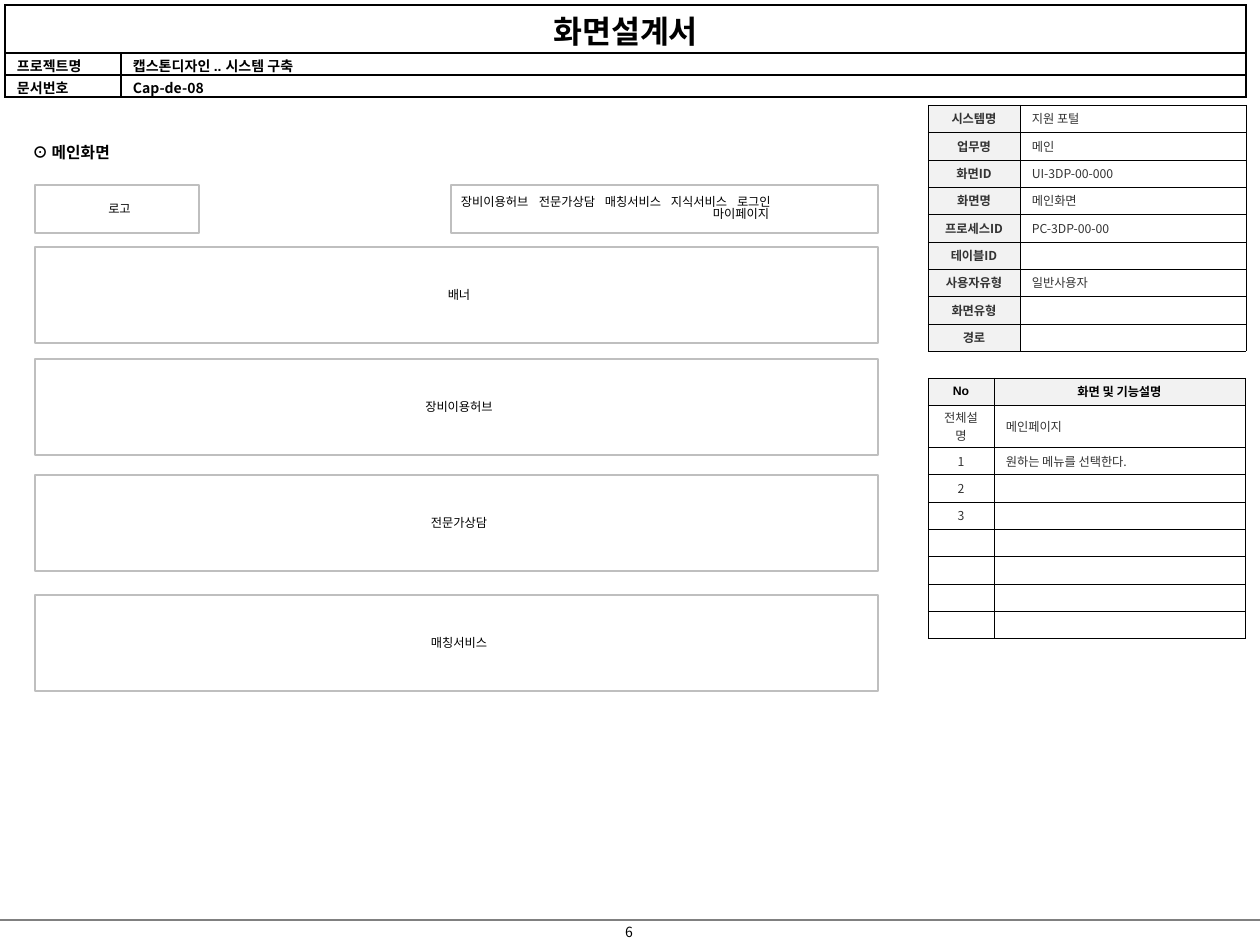
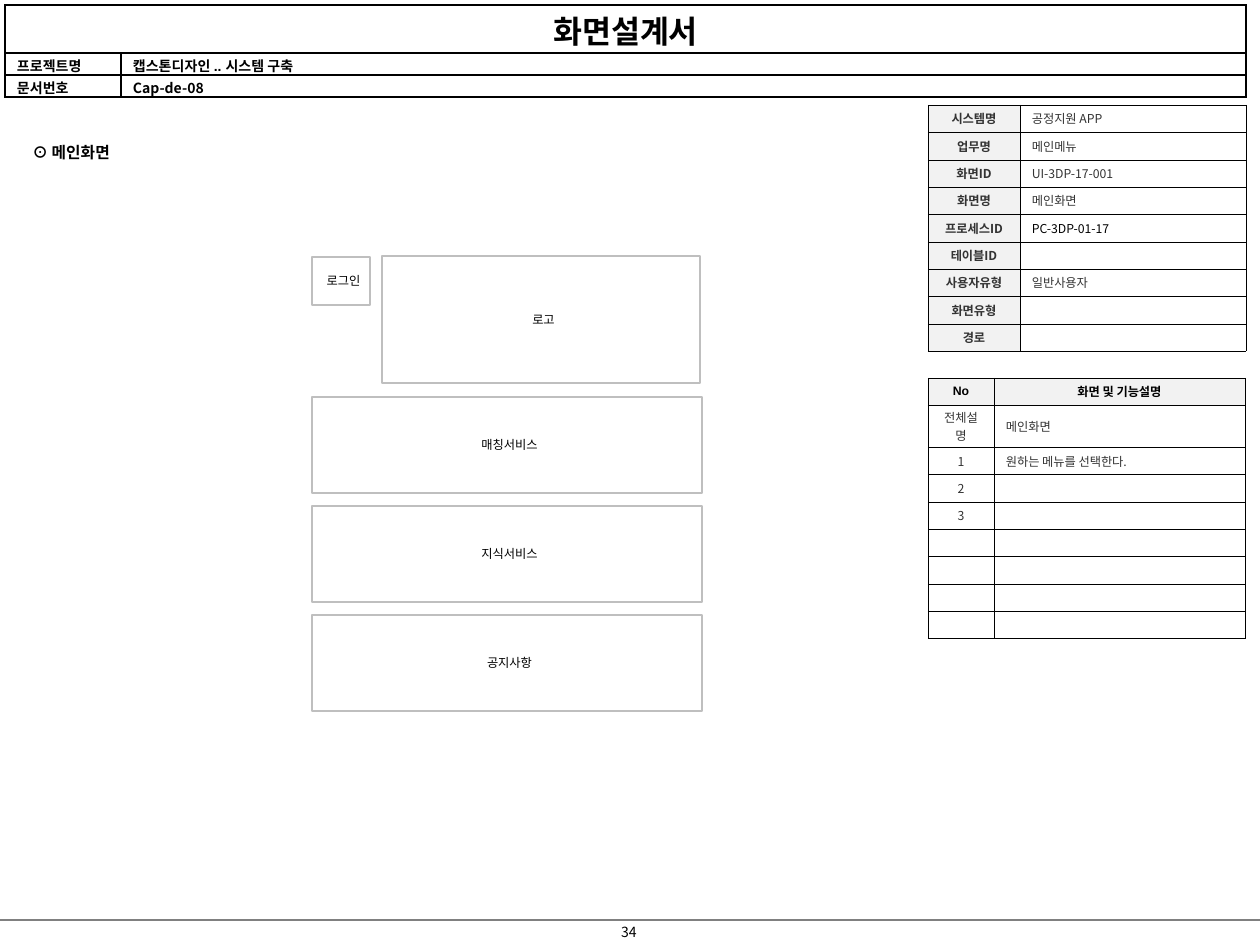
from lxml.etree import SubElement
from pptx import Presentation
from pptx.dml.color import RGBColor
from pptx.enum.shapes import MSO_CONNECTOR, MSO_SHAPE
from pptx.enum.text import MSO_ANCHOR, PP_ALIGN
from pptx.oxml.ns import qn
from pptx.util import Pt

PX = 914400 / 126
PAGE_WIDTH, PAGE_HEIGHT = 1260, 945
FOOTER_TOP = 920

BLACK = RGBColor(0x00, 0x00, 0x00)
DARK = RGBColor(0x33, 0x33, 0x33)
GRAY = RGBColor(0x80, 0x80, 0x80)
OUTLINE = RGBColor(0xBF, 0xBF, 0xBF)
PALE = RGBColor(0xF2, 0xF2, 0xF2)
WHITE = RGBColor(0xFF, 0xFF, 0xFF)
KOREAN, LATIN = "Noto Sans CJK KR", "Arial"

TITLE = "화면설계서"
DOCUMENT = [("프로젝트명", "캡스톤디자인 .. 시스템 구축"), ("문서번호", "Cap-de-08")]
HEADING = "⊙ 메인화면"
INFO_LABELS = ["시스템명", "업무명", "화면ID", "화면명", "프로세스ID",
               "테이블ID", "사용자유형", "화면유형", "경로"]
FUNCTION_HEADER = ("No", "화면 및 기능설명")
FUNCTION_ROWS = [("1", "원하는 메뉴를 선택한다."), ("2", ""), ("3", "")] + [("", "")] * 4
MENU = ["장비이용허브", "전문가상담", "매칭서비스", "지식서비스", "로그인"]
MENU_TABS = [78, 144, 210, 276]
MENU_SECOND_LINE, MENU_SECOND_INDENT = "마이페이지", 252
MENU_FRAME = (451, 185, 427, 48)
BAND_HEIGHT = 96

# Frames are (text, left, top, width, height); bands are (text, top).
SCREENS = [
    {
        "number": "6",
        "info": ["지원 포털", "메인", "UI-3DP-00-000", "메인화면", "PC-3DP-00-00",
                 "", "일반사용자", "", ""],
        "process_color": DARK,
        "summary": "메인페이지",
        "frames": [("로고", 35, 185, 164, 48)],
        "has_menu": True,
        "band_span": (35, 843),
        "bands": [("배너", 247), ("장비이용허브", 359), ("전문가상담", 475), ("매칭서비스", 595)],
    },
    {
        "number": "34",
        "info": ["공정지원 APP", "메인메뉴", "UI-3DP-17-001", "메인화면", "PC-3DP-01-17",
                 "", "일반사용자", "", ""],
        "process_color": BLACK,
        "summary": "메인화면",
        "frames": [("로고", 382, 256, 318, 127), ("로그인", 312, 257, 58, 48)],
        "has_menu": False,
        "band_span": (312, 390),
        "bands": [("매칭서비스", 397), ("지식서비스", 506), ("공지사항", 615)],
    },
]


def px(*lengths):
    return [round(length * PX) for length in lengths]


def style_paragraph(para, size, color=BLACK, bold=False, font=KOREAN, align=PP_ALIGN.LEFT):
    para.alignment = align
    for span in para.runs:
        span.font.size = Pt(size)
        span.font.bold = bold
        span.font.name = font
        span.font.color.rgb = color
        SubElement(span.font._element, qn("a:ea"), typeface=KOREAN)
    if not para.runs:
        SubElement(para._p, qn("a:endParaRPr"), sz=str(size * 100))


def set_margins(target, left, top, right, bottom):
    target.margin_left, target.margin_top, target.margin_right, target.margin_bottom = px(
        left, top, right, bottom)


def add_grid(page, left, top, columns, heights):
    frame = page.shapes.add_table(len(heights), len(columns),
                                  *px(left, top, sum(columns), sum(heights)))
    table = frame.table
    table.first_row = table.horz_banding = False
    for column, width in zip(table.columns, px(*columns)):
        column.width = width
    for row, height in zip(table.rows, px(*heights)):
        row.height = height
    return table


def fill_cell(cell, text, size, border, fill=None, anchor=MSO_ANCHOR.MIDDLE,
              margins=(12, 3, 12, 3), **style):
    set_margins(cell, *margins)
    cell.vertical_anchor = anchor
    properties = cell._tc.get_or_add_tcPr()
    for side in ("lnL", "lnR", "lnT", "lnB"):
        line = SubElement(properties, qn(f"a:{side}"), w=str(Pt(border)))
        solid = SubElement(line, qn("a:solidFill"))
        SubElement(solid, qn("a:srgbClr"), val=str(BLACK))
    if fill is None:
        cell.fill.background()
    else:
        cell.fill.solid()
        cell.fill.fore_color.rgb = fill
    cell.text_frame.text = text
    style_paragraph(cell.text_frame.paragraphs[0], size, **style)


def add_label(page, text, frame, size, wrap=True, **style):
    box = page.shapes.add_textbox(*px(*frame))
    box.text_frame.word_wrap = wrap
    box.text_frame.text = text
    style_paragraph(box.text_frame.paragraphs[0], size, **style)


def add_document_band(page):
    table = add_grid(page, 5, 5, [116, 1125], [48, 22, 22])
    look = {"border": 1, "fill": WHITE, "anchor": MSO_ANCHOR.TOP,
            "margins": (12, 2, 12, 0), "bold": True}
    fill_cell(table.cell(0, 0), TITLE, 18, align=PP_ALIGN.CENTER, **look)
    fill_cell(table.cell(0, 1), "", 18, **look)
    table.cell(0, 0).merge(table.cell(0, 1))
    for row, (label, value) in enumerate(DOCUMENT, 1):
        fill_cell(table.cell(row, 0), label, 8, font=LATIN, **look)
        fill_cell(table.cell(row, 1), value, 8,
                  font=KOREAN if value.isascii() else LATIN, **look)


def add_footer(page, number):
    left, top, right, bottom = px(0, FOOTER_TOP, PAGE_WIDTH, FOOTER_TOP)
    rule = page.shapes.add_connector(MSO_CONNECTOR.STRAIGHT, left, top, right, bottom)
    rule.line.color.rgb = GRAY
    rule.line.width = Pt(0.75)
    SubElement(rule._element.spPr, qn("a:effectLst"))
    add_label(page, number, (594, 917, 70, 30), 8, align=PP_ALIGN.CENTER)


def add_info_table(page, values, process_color):
    table = add_grid(page, 928, 105, [92, 226], [246 / 9] * len(INFO_LABELS))
    for row, (label, value) in enumerate(zip(INFO_LABELS, values)):
        color = process_color if label == "프로세스ID" else DARK
        fill_cell(table.cell(row, 0), label, 7, 0.25, PALE,
                  color=DARK, bold=True, align=PP_ALIGN.CENTER)
        fill_cell(table.cell(row, 1), value, 7, 0.25, color=color)


def add_function_table(page, summary):
    rows = [FUNCTION_HEADER, ("전체설명", summary)] + FUNCTION_ROWS
    heights = [246 / 9] * len(rows)
    heights[1] = 42
    table = add_grid(page, 928, 378, [66, 251], heights)
    for column, text in enumerate(FUNCTION_HEADER):
        fill_cell(table.cell(0, column), text, 7, 0.25, PALE,
                  bold=True, font=LATIN, align=PP_ALIGN.CENTER)
    for row, (number, description) in enumerate(rows[1:], 1):
        fill_cell(table.cell(row, 0), number, 7, 0.25, color=DARK, align=PP_ALIGN.CENTER)
        fill_cell(table.cell(row, 1), description, 7, 0.25, color=DARK)


def add_wireframe(page, text, *frame, align=PP_ALIGN.CENTER):
    shape = page.shapes.add_shape(MSO_SHAPE.RECTANGLE, *px(*frame))
    shape.shadow.inherit = False
    shape.fill.solid()
    shape.fill.fore_color.rgb = WHITE
    shape.line.color.rgb = OUTLINE
    shape.line.width = Pt(0.75)
    text_frame = shape.text_frame
    text_frame.word_wrap = True
    text_frame.vertical_anchor = MSO_ANCHOR.MIDDLE
    set_margins(text_frame, 10, 6, 5, 6)
    text_frame.text = text
    for para in text_frame.paragraphs:
        style_paragraph(para, 7, align=align)
    return shape


def add_menu(page):
    text = "\t".join(MENU) + "\n" + MENU_SECOND_LINE
    shape = add_wireframe(page, text, *MENU_FRAME, align=PP_ALIGN.LEFT)
    first, second = shape.text_frame.paragraphs
    first.line_spacing = second.line_spacing = 0.8
    tabs = SubElement(first._p.get_or_add_pPr(), qn("a:tabLst"))
    for position in px(*MENU_TABS):
        SubElement(tabs, qn("a:tab"), pos=str(position), algn="l")
    second._p.get_or_add_pPr().set("marL", str(px(MENU_SECOND_INDENT)[0]))


def add_screen(deck, screen):
    page = deck.slides.add_slide(deck.slide_layouts[6])
    add_footer(page, screen["number"])
    add_document_band(page)
    add_function_table(page, screen["summary"])
    add_info_table(page, screen["info"], screen["process_color"])
    add_label(page, HEADING, (20, 137, 110, 32), 9, wrap=False, bold=True)
    for frame in screen["frames"]:
        add_wireframe(page, *frame)
    if screen["has_menu"]:
        add_menu(page)
    left, width = screen["band_span"]
    for text, top in screen["bands"]:
        add_wireframe(page, text, left, top, width, BAND_HEIGHT)


def main():
    deck = Presentation()
    deck.slide_width, deck.slide_height = px(PAGE_WIDTH, PAGE_HEIGHT)
    for screen in SCREENS:
        add_screen(deck, screen)
    deck.save("out.pptx")


if __name__ == "__main__":
    main()
